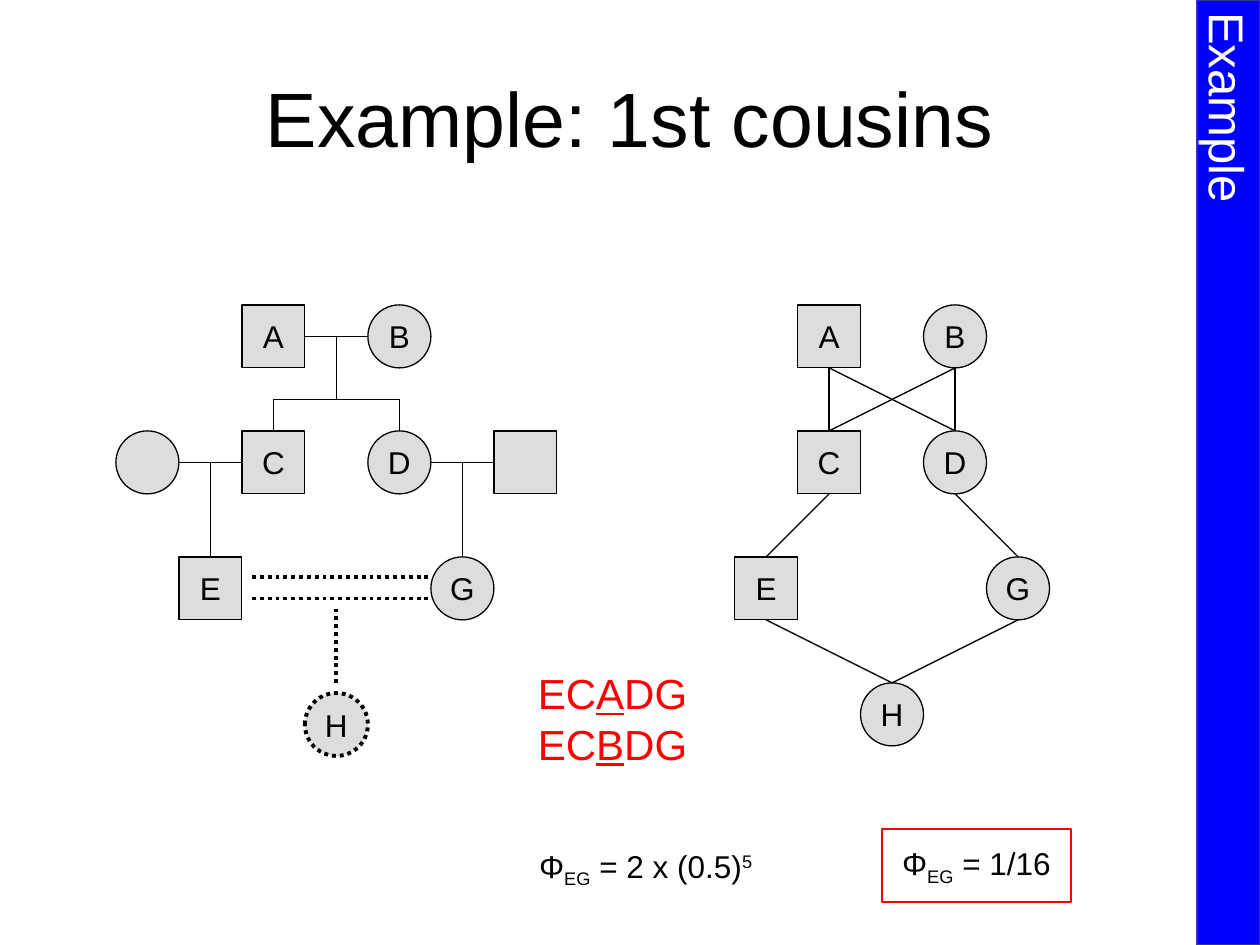
from lxml import etree
from pptx import Presentation
from pptx import util as u
from pptx.dml.color import RGBColor
from pptx.enum import dml, shapes, text
from pptx.oxml.ns import qn

BLACK = RGBColor(0x00, 0x00, 0x00)
WHITE = RGBColor(0xFF, 0xFF, 0xFF)
GREY = RGBColor(0xDD, 0xDD, 0xDD)
RED = RGBColor(0xFF, 0x00, 0x00)
BLUE = RGBColor(0x00, 0x00, 0xFF)
INDIGO = RGBColor(0x33, 0x33, 0x99)

RECT = shapes.MSO_SHAPE.RECTANGLE
OVAL = shapes.MSO_SHAPE.OVAL
CENTER = text.PP_ALIGN.CENTER
LEFT = text.PP_ALIGN.LEFT
UNIT = 0.5


def inches(*values):
    return [u.Inches(value) for value in values]


def style_line(line, color, width, dotted=False):
    line.color.rgb = color
    line.width = u.Pt(width)
    if dotted:
        line.dash_style = dml.MSO_LINE.ROUND_DOT


def write(box, lines, size, color=BLACK, align=LEFT, anchor=text.MSO_ANCHOR.MIDDLE, wrap=False):
    frame = box.text_frame
    frame.word_wrap = wrap
    frame.vertical_anchor = anchor
    for index, spans in enumerate(lines):
        para = frame.paragraphs[0] if index == 0 else frame.add_paragraph()
        para.alignment = align
        para.font.name = "Arial"
        para.font.size = u.Pt(size)
        para.font.color.rgb = color
        for words, look in spans:
            span = para.add_run()
            span.text = words
            if look == "underline":
                span.font.underline = True
            elif look:
                span._r.get_or_add_rPr().set("baseline", str(look * 1000))


def add_box(page, kind, place, fill, outline, width, dotted=False):
    box = page.shapes.add_shape(kind, *inches(*place))
    box.shadow.inherit = False
    if fill is None:
        box.fill.background()
    else:
        box.fill.solid()
        box.fill.fore_color.rgb = fill
    style_line(box.line, outline, width, dotted)
    return box


def add_text(page, place, lines, size, **options):
    write(page.shapes.add_textbox(*inches(*place)), lines, size, **options)


def add_person(page, origin, kind, label, column, row, dotted=False):
    place = (origin[0] + column * UNIT, origin[1] + row * UNIT, UNIT, UNIT)
    person = add_box(page, kind, place, GREY, BLACK, 2.25 if dotted else 0.75, dotted)
    if label:
        write(person, [[(label, None)]], 18, align=CENTER)


def add_link(page, origin, ends, dotted=False):
    points = [origin[i % 2] + value * UNIT for i, value in enumerate(ends)]
    link = page.shapes.add_connector(shapes.MSO_CONNECTOR.STRAIGHT, *inches(*points))
    style_line(link.line, BLACK, 2.25 if dotted else 0.75, dotted)
    etree.SubElement(link._element.spPr, qn("a:effectLst"))


def add_family_tree(page, origin):
    people = [
        (RECT, "A", 2, 0), (OVAL, "B", 4, 0),
        (OVAL, "", 0, 2), (RECT, "C", 2, 2), (OVAL, "D", 4, 2), (RECT, "", 6, 2),
        (RECT, "E", 1, 4), (OVAL, "G", 5, 4),
    ]
    couples = [(3, 0.5, 4, 0.5), (1, 2.5, 2, 2.5), (5, 2.5, 6, 2.5)]
    descents = [
        (3.5, 0.5, 3.5, 1.5), (2.5, 1.5, 4.5, 1.5),
        (2.5, 1.5, 2.5, 2), (4.5, 1.5, 4.5, 2),
        (1.5, 2.5, 1.5, 4), (5.5, 2.5, 5.5, 4),
    ]
    cousin_match = [(2.16, 4.32, 5, 4.32), (2.16, 4.66, 5, 4.66), (3.5, 4.82, 3.5, 6)]
    for person in people:
        add_person(page, origin, *person)
    add_person(page, origin, OVAL, "H", 3, 6.16, dotted=True)
    for ends in couples + descents:
        add_link(page, origin, ends)
    for ends in cousin_match:
        add_link(page, origin, ends, dotted=True)


def add_path_diagram(page, origin):
    people = {
        "A": (RECT, 1, 0), "B": (OVAL, 3, 0),
        "C": (RECT, 1, 2), "D": (OVAL, 3, 2),
        "E": (RECT, 0, 4), "G": (OVAL, 4, 4), "H": (OVAL, 2, 6),
    }
    for label, (kind, column, row) in people.items():
        add_person(page, origin, kind, label, column, row)
    for parent, child in ("AC", "AD", "BC", "BD", "CE", "DG", "EH", "GH"):
        _, left, top = people[parent]
        _, right, bottom = people[child]
        add_link(page, origin, (left + 0.5, top + 1, right + 0.5, bottom))


def add_sidebar(page, place):
    bar = add_box(page, RECT, place, BLUE, INDIGO, 1)
    write(bar, [[("Example", None)]], 28, color=WHITE, align=LEFT, wrap=True)
    bar.text_frame._txBody.bodyPr.set("vert", "eaVert")


def add_results(page, paths_place, formula_place, answer_place):
    top = text.MSO_ANCHOR.TOP
    paths = [[("EC", None), (ancestor, "underline"), ("DG", None)] for ancestor in "AB"]
    add_text(page, paths_place, paths, 24, color=RED, anchor=top)
    kinship = [("Φ", None), ("EG", -25)]
    formula = kinship + [(" = 2 x (0.5)", None), ("5", 30)]
    add_text(page, formula_place, [formula], 18, anchor=top)
    answer = add_box(page, RECT, answer_place, None, RED, 1.5)
    write(answer, [kinship + [(" = 1/16", None)]], 18, align=CENTER)


def main():
    deck = Presentation()
    deck.slide_width, deck.slide_height = inches(10, 7.5)
    page = deck.slides.add_slide(deck.slide_layouts[6])
    add_text(page, (0.5, 0.3, 9, 1.25), [[("Example: 1st cousins", None)]], 44,
             align=CENTER, wrap=True)
    add_family_tree(page, (0.92, 2.42))
    add_sidebar(page, (9.5, 0, 0.5, 7.5))
    add_path_diagram(page, (5.83, 2.42))
    add_results(page, (4.17, 5.25, 1.39, 0.9), (4.18, 6.67, 1.94, 0.4), (7, 6.58, 1.5, 0.58))
    deck.save("out.pptx")


if __name__ == "__main__":
    main()
